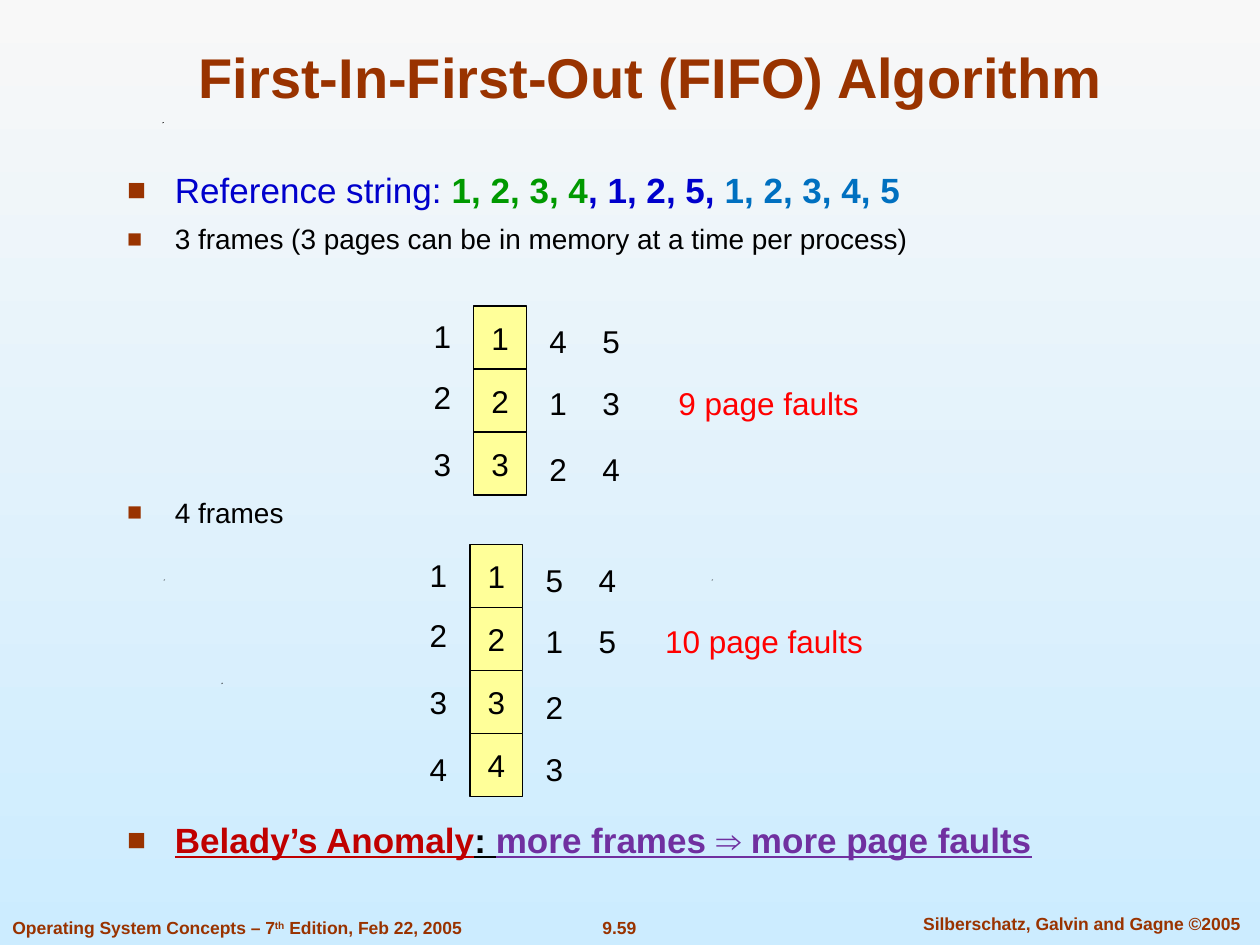
"""Build the FIFO page replacement slide."""
import pptx
import pptx.dml.color
import pptx.enum.shapes
import pptx.enum.text
import pptx.oxml
import pptx.oxml.ns
import pptx.util

Inches = pptx.util.Inches
Pt = pptx.util.Pt
Align = pptx.enum.text.PP_ALIGN
Anchor = pptx.enum.text.MSO_ANCHOR

THEME = {
    "font": "Arial", "brown": "993300", "black": "000000", "blue": "0000CC",
    "green": "009900", "sky": "0070C0", "crimson": "C00000", "purple": "7030A0",
    "red": "FF0000", "yellow": "FFFF99", "background": ("F8F8F8", "CCECFF"),
    "title": 32, "lead": 20, "body": 16, "diagram": 18, "footer": 10,
}

TITLE = "First-In-First-Out (FIFO) Algorithm"
LEAD = {"size": "lead", "bold": True}
CLAIM = {**LEAD, "underline": True}
BULLETS = [
    (0, [("Reference string: ", {"size": "lead", "color": "blue"}),
         ("1, 2, 3, 4", {**LEAD, "color": "green"}),
         (", 1, 2, 5, ", {**LEAD, "color": "blue"}),
         ("1, 2, 3, 4, 5", {**LEAD, "color": "sky"})]),
    (6.3, [("3 frames (3 pages can be in memory at a time per process)", {})]),
    (137, [("4 frames", {})]),
    (165.4, [("Belady’s Anomaly", {**CLAIM, "color": "crimson"}),
             (": ", CLAIM),
             ("more frames ⇒ more page faults", {**CLAIM, "color": "purple"})]),
]
FRAME_TABLES = [
    {"left": 3.76, "top": 2.43, "pages": "123", "replaced": ("412", "534"),
     "faults": "9 page faults", "faults_box": (5.18, 1.84)},
    {"left": 3.73, "top": 4.32, "pages": "1234", "replaced": ("5123", "45"),
     "faults": "10 page faults", "faults_box": (5.08, 1.97)},
]
FOOTERS = [
    ((0, 7.23, 3.78, 0.27), Align.LEFT,
     [("Operating System Concepts – 7", {}), ("th", {"baseline": 30000}),
      (" Edition, Feb 22, 2005", {})]),
    ((4.67, 7.23, 0.49, 0.27), Align.CENTER, [("9.59", {})]),
    ((7.1, 7.2, 2.97, 0.27), Align.CENTER,
     [("Silberschatz, Galvin and Gagne ©2005", {})]),
]
SPECKS = [(1.76, 5.42), (1.3, 4.6), (5.65, 4.6), (1.29, 0.97)]

CELL_WIDTH, CELL_HEIGHT = 0.42, 0.5
LABEL_WIDTH, LABEL_HEIGHT = 0.34, 0.4
LABEL_ROWS = (0.04, 0.52, 1.05, 1.58)
REPLACED_ROWS = (0.08, 0.57, 1.09, 1.58)
LABEL_LEFT, REPLACED_LEFT = -0.42, 0.5


def rgb(name):
    return pptx.dml.color.RGBColor.from_string(THEME[name])


def add_run(paragraph, text, size="body", color="black", bold=False,
            underline=False, baseline=None):
    run = paragraph.add_run()
    run.text = text
    run.font.name = THEME["font"]
    run.font.size = Pt(THEME[size])
    run.font.color.rgb = rgb(color)
    run.font.bold = bold
    run.font.underline = underline
    if baseline:
        run._r.get_or_add_rPr().set("baseline", str(baseline))


def add_text(slide, box, runs, align=Align.CENTER, anchor=Anchor.TOP, wrap=True, **style):
    shape = slide.shapes.add_textbox(*map(Inches, box))
    frame = shape.text_frame
    frame.word_wrap = wrap
    frame.vertical_anchor = anchor
    paragraph = frame.paragraphs[0]
    paragraph.alignment = align
    for text, extra in runs:
        add_run(paragraph, text, **{**style, **extra})


def add_bullets(slide):
    shape = slide.shapes.add_textbox(*map(Inches, (0.91, 1.26, 7.69, 6.3)))
    frame = shape.text_frame
    frame.word_wrap = True
    frame.margin_top = Inches(0.08)
    for index, (gap, runs) in enumerate(BULLETS):
        paragraph = frame.add_paragraph() if index else frame.paragraphs[0]
        paragraph.space_before = Pt(gap)
        properties = paragraph._p.get_or_add_pPr()
        properties.set("marL", str(Inches(0.38)))
        properties.set("indent", str(-Inches(0.38)))
        namespace = pptx.oxml.ns.nsdecls("a")
        for xml in (f'<a:buClr {namespace}><a:srgbClr val="{THEME["brown"]}"/></a:buClr>',
                    f'<a:buSzPct {namespace} val="90000"/>',
                    f'<a:buFont {namespace} typeface="{THEME["font"]}"/>',
                    f'<a:buChar {namespace} char="■"/>'):
            properties.append(pptx.oxml.parse_xml(xml))
        for text, style in runs:
            add_run(paragraph, text, **style)


def add_cell(slide, left, top, page):
    cell = slide.shapes.add_shape(
        pptx.enum.shapes.MSO_SHAPE.RECTANGLE,
        *map(Inches, (left, top, CELL_WIDTH, CELL_HEIGHT)))
    cell.shadow.inherit = False
    cell.fill.solid()
    cell.fill.fore_color.rgb = rgb("yellow")
    cell.line.color.rgb = rgb("black")
    cell.line.width = Pt(0.75)
    frame = cell.text_frame
    frame.word_wrap = False
    frame.vertical_anchor = Anchor.MIDDLE
    frame.paragraphs[0].alignment = Align.CENTER
    add_run(frame.paragraphs[0], page, size="diagram")


def add_label(slide, left, top, text, width=LABEL_WIDTH, color="black"):
    add_text(slide, (left, top, width, LABEL_HEIGHT), [(text, {})],
             anchor=Anchor.MIDDLE, wrap=False, size="diagram", color=color)


def add_frame_table(slide, table):
    left, top = table["left"], table["top"]
    for row, page in enumerate(table["pages"]):
        add_cell(slide, left, top + row * CELL_HEIGHT, page)
        add_label(slide, left + LABEL_LEFT, top + LABEL_ROWS[row], page)
    for column, pages in enumerate(table["replaced"]):
        for page, offset in zip(pages, REPLACED_ROWS):
            add_label(slide, left + REPLACED_LEFT + column * CELL_WIDTH, top + offset, page)
    faults_left, faults_width = table["faults_box"]
    add_label(slide, faults_left, top + REPLACED_ROWS[1], table["faults"],
              width=faults_width, color="red")


def add_speck(slide, left, top):
    builder = slide.shapes.build_freeform(Inches(left), Inches(top + 0.01))
    builder.add_line_segments([(Inches(left + 0.01), Inches(top)),
                               (Inches(left), Inches(top))])
    speck = builder.convert_to_shape()
    speck.shadow.inherit = False
    speck.fill.solid()
    speck.fill.fore_color.rgb = rgb("black")
    speck.line.fill.background()


def main():
    presentation = pptx.Presentation()
    presentation.slide_width, presentation.slide_height = Inches(10), Inches(7.5)
    slide = presentation.slides.add_slide(presentation.slide_layouts[6])
    fill = slide.background.fill
    fill.gradient()
    fill.gradient_angle = 270
    for stop, color, position in zip(fill.gradient_stops, THEME["background"], (0, 1)):
        stop.color.rgb = pptx.dml.color.RGBColor.from_string(color)
        stop.position = position
    for left, top in SPECKS:
        add_speck(slide, left, top)
    for box, align, runs in FOOTERS:
        add_text(slide, box, runs, align=align, wrap=False,
                 size="footer", color="brown", bold=True)
    add_text(slide, (0.75, 0.25, 8.83, 0.67), [(TITLE, {})], anchor=Anchor.BOTTOM,
             size="title", color="brown", bold=True)
    add_bullets(slide)
    for table in FRAME_TABLES:
        add_frame_table(slide, table)
    presentation.save("out.pptx")


if __name__ == "__main__":
    main()
